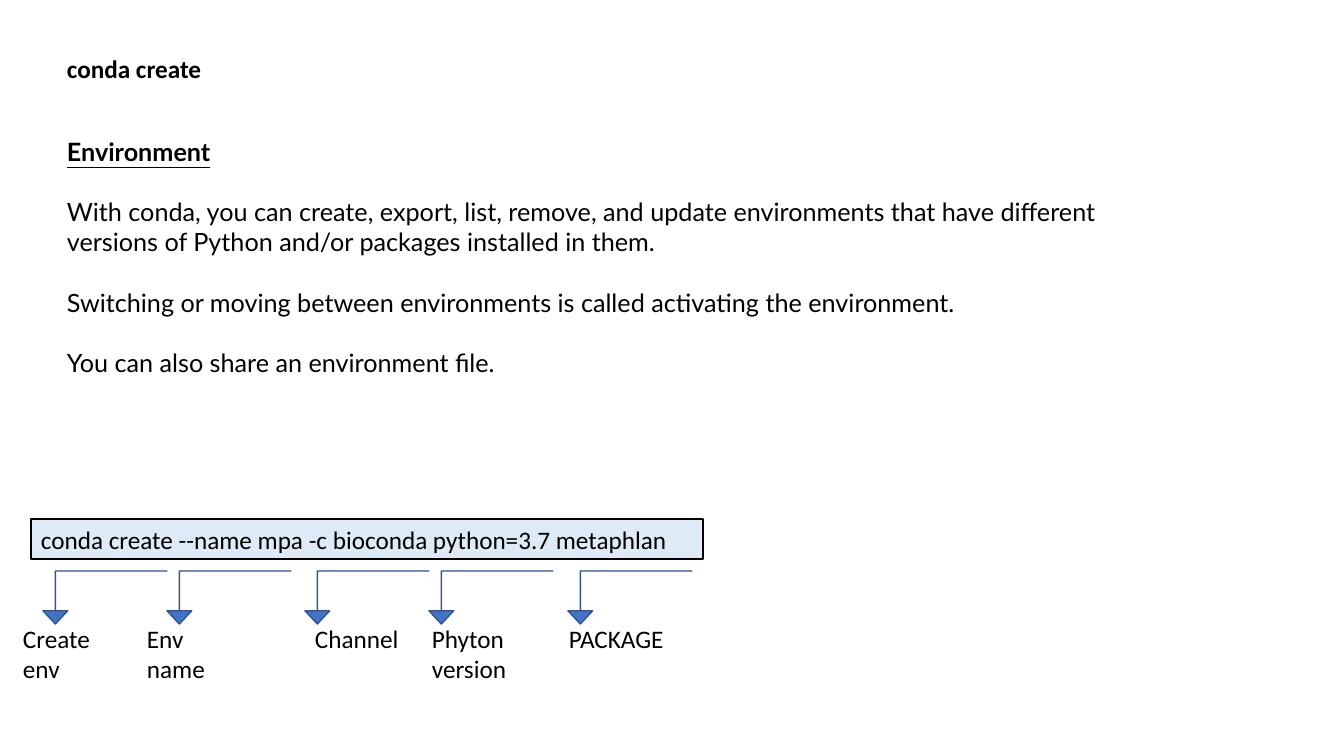
from pptx import Presentation
from pptx.dml.color import RGBColor
from pptx.enum.shapes import MSO_SHAPE
from pptx.util import Pt

BLACK = RGBColor(0, 0, 0)
PALE = RGBColor(0xDE, 0xEB, 0xF7)
BLUE = RGBColor(0x44, 0x72, 0xC4)
NAVY = RGBColor(0x32, 0x54, 0x91)

TITLE = ["conda create"]
BODY = [
    "Environment",
    "With conda, you can create, export, list, remove, and update environments "
    "that have different versions of Python and/or packages installed in them.",
    "Switching or moving between environments is called activating the environment.",
    "You can also share an environment file.",
]
COMMAND = ["conda create --name mpa -c bioconda python=3.7 metaphlan"]
PARTS = [
    (43, 13, 72, ["Create env"]),
    (167, 137, 72, ["Env", "name"]),
    (305, 305, 40, ["Channel"]),
    (429, 422, 72, ["Phyton version"]),
    (568, 559, 40, ["PACKAGE"]),
]
PLAIN = {"name": "Calibri", "size": Pt(18), "bold": False}
STRONG = {**PLAIN, "bold": True}
LATO = {**PLAIN, "name": "Lato"}
HEAD = {**LATO, "bold": True, "underline": True}
BENDS = [0, 0.233, 0.25]
PX = 914400 / 100.8


def scale(*sizes):
    return [round(size * PX) for size in sizes]


def write(shape, lines, look, first=None, gap=0):
    frame = shape.text_frame
    frame.word_wrap = True
    for i, line in enumerate(lines):
        para = frame.paragraphs[0] if i == 0 else frame.add_paragraph()
        if i:
            para.space_before = Pt(gap)
        run = para.add_run()
        run.text = line
        style = first if first and i == 0 else look
        for key, value in style.items():
            setattr(run.font, key, value)
        run.font.color.rgb = BLACK


def label(box, lines, look, **more):
    write(slide.shapes.add_textbox(*scale(*box)), lines, look, **more)


def draw(kind, box, fill, edge):
    shape = slide.shapes.add_shape(kind, *scale(*box))
    shape.shadow.inherit = False
    shape.fill.solid()
    shape.fill.fore_color.rgb = fill
    shape.line.color.rgb = edge
    shape.line.width = Pt(1)
    return shape


deck = Presentation()
deck.slide_width, deck.slide_height = scale(1344, 756)
slide = deck.slides.add_slide(deck.slide_layouts[6])

label((57, 48, 672, 40), TITLE, STRONG)
label((57, 131, 1062, 254), BODY, LATO, first=HEAD, gap=21.6)

bar = draw(MSO_SHAPE.RECTANGLE, (31, 519, 672, 40), PALE, BLACK)
write(bar, COMMAND, PLAIN)
bar.text_frame.paragraphs[0].alignment = 1

for bend, left, height, lines in PARTS:
    arrow = draw(MSO_SHAPE.BENT_UP_ARROW, (bend, 571, 124, 53), BLUE, NAVY)
    arrow.rotation = 180
    for i, value in enumerate(BENDS):
        arrow.adjustments[i] = value
    label((left, 618, 124, height), lines, PLAIN)

deck.save("out.pptx")
